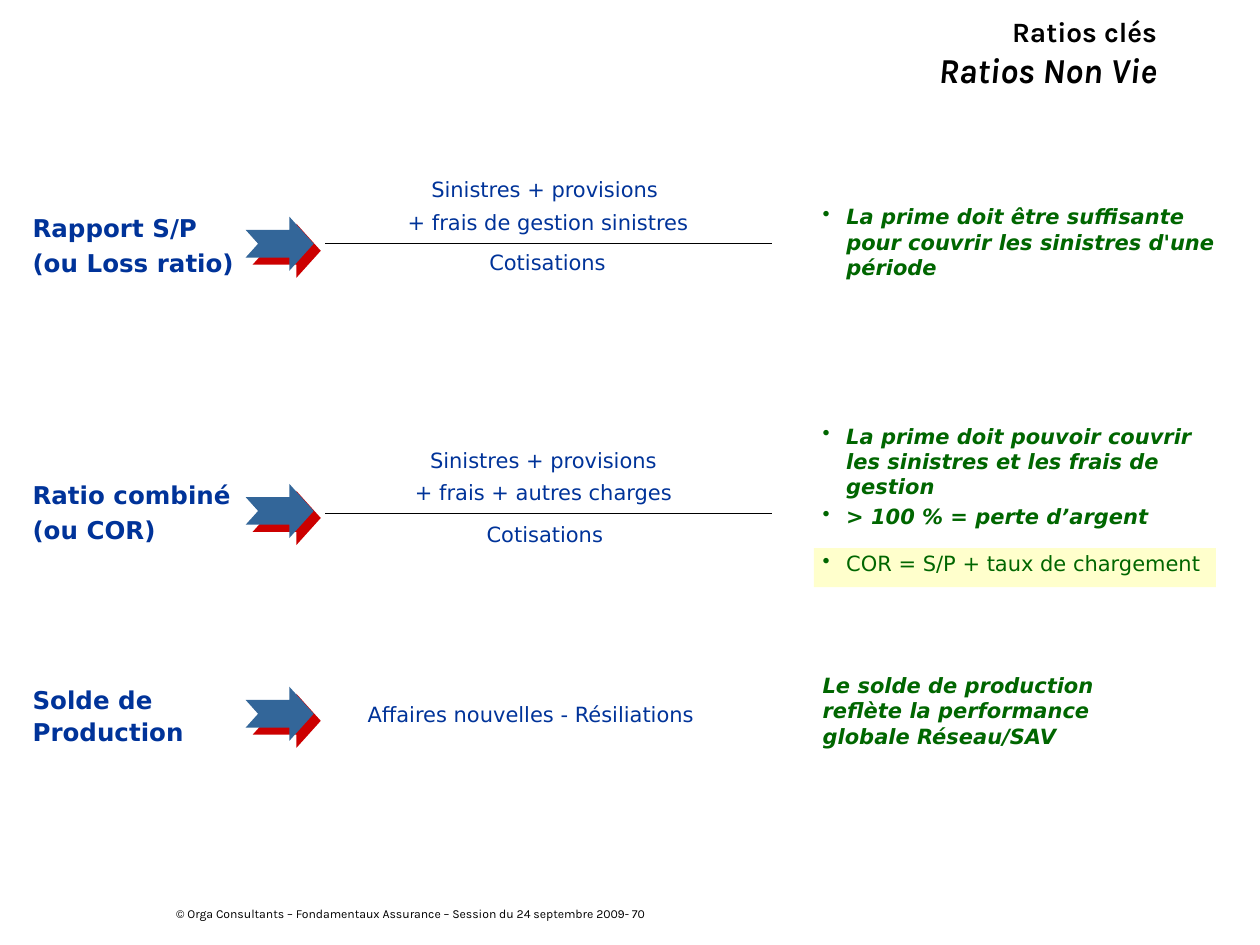
"""Build the slide on the key ratios of non-life insurance."""
from pptx import Presentation
from pptx.dml.color import RGBColor
from pptx.enum.shapes import MSO_CONNECTOR, MSO_SHAPE
from pptx.enum.text import MSO_ANCHOR, PP_ALIGN
from pptx.oxml.ns import qn
from pptx.oxml.xmlchemy import OxmlElement
from pptx.util import Pt

STRAIGHT = MSO_CONNECTOR.STRAIGHT
ARROW = MSO_SHAPE.NOTCHED_RIGHT_ARROW
RECTANGLE = MSO_SHAPE.RECTANGLE
CENTER, RIGHT = PP_ALIGN.CENTER, PP_ALIGN.RIGHT
TOP, MIDDLE = MSO_ANCHOR.TOP, MSO_ANCHOR.MIDDLE

COLORS = {
    "black": "000000",
    "blue": "003399",
    "green": "006600",
    "arrow": "336699",
    "shadow": "CC0000",
    "highlight": "FFFFCC",
}
FOOTER = {"name": "Karla", "size": Pt(7), "color": "black"}
TITLE = {"name": "Karla", "size": Pt(16), "bold": True, "color": "black"}
SUBTITLE = {**TITLE, "size": Pt(20), "italic": True}
FORMULA = {"name": "DejaVu Sans", "size": Pt(12), "color": "blue"}
LABEL = {**FORMULA, "size": Pt(14), "bold": True}
NOTE = {**FORMULA, "color": "green"}
REMARK = {**NOTE, "bold": True, "italic": True}

CENTERED = {"alignment": CENTER}
NUMERATOR = {"alignment": CENTER, "line_spacing": 0.85}


def points(values):
    return [Pt(value) for value in values]


def rgb(name):
    return RGBColor.from_string(COLORS[name])


def add_span(para, text, style):
    span = para.add_run()
    span.text = text
    for key, value in style.items():
        if key == "color":
            span.font.color.rgb = rgb(value)
        else:
            setattr(span.font, key, value)


def add_bullet(para):
    properties = para._p.get_or_add_pPr()
    properties.set("marL", str(Pt(13.5)))
    properties.set("indent", str(-Pt(13.5)))
    bullet = OxmlElement("a:buChar")
    bullet.set("char", "•")
    properties.append(bullet)


def add_text(slide, area, lines, bulleted=False, anchor=TOP):
    """Add a text box of (text, font style, paragraph format) lines."""
    box = slide.shapes.add_textbox(*points(area))
    frame = box.text_frame
    frame.word_wrap = True
    frame.vertical_anchor = anchor
    for index, (text, style, layout) in enumerate(lines):
        para = frame.add_paragraph() if index else frame.paragraphs[0]
        if bulleted:
            add_bullet(para)
        for key, value in layout.items():
            setattr(para, key, value)
        add_span(para, text, style)
    return box


def add_block(slide, kind, area, color):
    block = slide.shapes.add_shape(kind, *points(area))
    block.shadow.inherit = False
    block.fill.solid()
    block.fill.fore_color.rgb = rgb(color)
    block.line.fill.background()
    return block


def add_arrow(slide, top):
    arrow = add_block(slide, ARROW, (140.4, top, 38.9, 31), "arrow")
    arrow.adjustments[0] = 0.51
    arrow.adjustments[1] = 0.45
    shadow = OxmlElement("a:outerShdw")
    for key, value in {"dist": Pt(5.7), "dir": 45 * 60000, "algn": "ctr", "rotWithShape": 0}.items():
        shadow.set(key, str(value))
    color = OxmlElement("a:srgbClr")
    color.set("val", COLORS["shadow"])
    shadow.append(color)
    arrow._element.spPr.find(qn("a:effectLst")).append(shadow)


def add_label(slide, top, first, second, layout):
    lines = [(first, LABEL, {}), (second, LABEL, layout)]
    add_text(slide, (11.5, top, 133.2, 44.6), lines)


def add_fraction(slide, bar, left, first, second, denominator_area):
    lines = [(first, FORMULA, NUMERATOR),
             (second, FORMULA, {**NUMERATOR, "space_before": Pt(6.4)})]
    add_text(slide, (left, bar - 39.4, 311, 39.6), lines)
    add_text(slide, denominator_area, [("Cotisations", FORMULA, CENTERED)])
    line = slide.shapes.add_connector(STRAIGHT, *points((185.8, bar, 441.4, bar)))
    line.line.color.rgb = rgb("black")
    line.line.width = Pt(0.75)
    line._element.spPr.append(OxmlElement("a:effectLst"))


def add_title(slide):
    box = add_text(slide, (56.2, 0, 612, 59.8),
                   [("Ratios clés", TITLE, {"alignment": RIGHT})], anchor=MIDDLE)
    para = box.text_frame.paragraphs[0]
    para.add_line_break()
    add_span(para, "Ratios Non Vie", SUBTITLE)


def add_loss_ratio(slide):
    add_label(slide, 118, "Rapport S/P", "(ou Loss ratio)", {"space_before": Pt(3.4)})
    add_arrow(slide, 123.8)
    add_fraction(slide, 139, 157.7, "Sinistres + provisions ",
                 "+ frais de gestion sinistres", (157, 139, 311.8, 21.6))
    remark = "La prime doit être suffisante pour couvrir les sinistres d'une période"
    add_text(slide, (463, 113, 238.3, 51), [(remark, REMARK, {})], bulleted=True)


def add_combined_ratio(slide):
    add_label(slide, 270.7, "Ratio combiné", "(ou COR)", {"space_before": Pt(3.4)})
    add_arrow(slide, 276.5)
    add_fraction(slide, 293.6, 157, "Sinistres + provisions ",
                 "+ frais + autres charges ", (254.9, 294.5, 113, 21.6))
    add_block(slide, RECTANGLE, (465.1, 313.2, 229.7, 22.3), "highlight")
    remarks = [
        ("La prime doit pouvoir couvrir les sinistres et les frais de gestion", REMARK, {}),
        ("> 100 % = perte d’argent", REMARK, {"space_before": Pt(2.8)}),
        ("COR = S/P + taux de chargement", NOTE, {"space_before": Pt(12.3)}),
    ]
    add_text(slide, (463, 238.3, 235.4, 97.2), remarks, bulleted=True)


def add_balance(slide):
    add_label(slide, 388, "Solde de", "Production",
              {"line_spacing": 0.5, "space_before": Pt(8.4)})
    add_arrow(slide, 392.4)
    add_text(slide, (203, 397.4, 264.2, 21.6),
             [("Affaires nouvelles - Résiliations", FORMULA, {})])
    remark = "Le solde de production reflète la performance globale Réseau/SAV"
    add_text(slide, (463, 380.9, 209.5, 51), [(remark, REMARK, {})])


def main():
    deck = Presentation()
    deck.slide_width, deck.slide_height = Pt(720), Pt(540)
    slide = deck.slides.add_slide(deck.slide_layouts[6])
    footer = "© Orga Consultants – Fondamentaux Assurance – Session du 24 septembre 2009- 70"
    add_text(slide, (93.6, 514.1, 510.5, 16.6), [(footer, FOOTER, {})])
    add_title(slide)
    add_loss_ratio(slide)
    add_combined_ratio(slide)
    add_balance(slide)
    deck.save("out.pptx")


if __name__ == "__main__":
    main()
